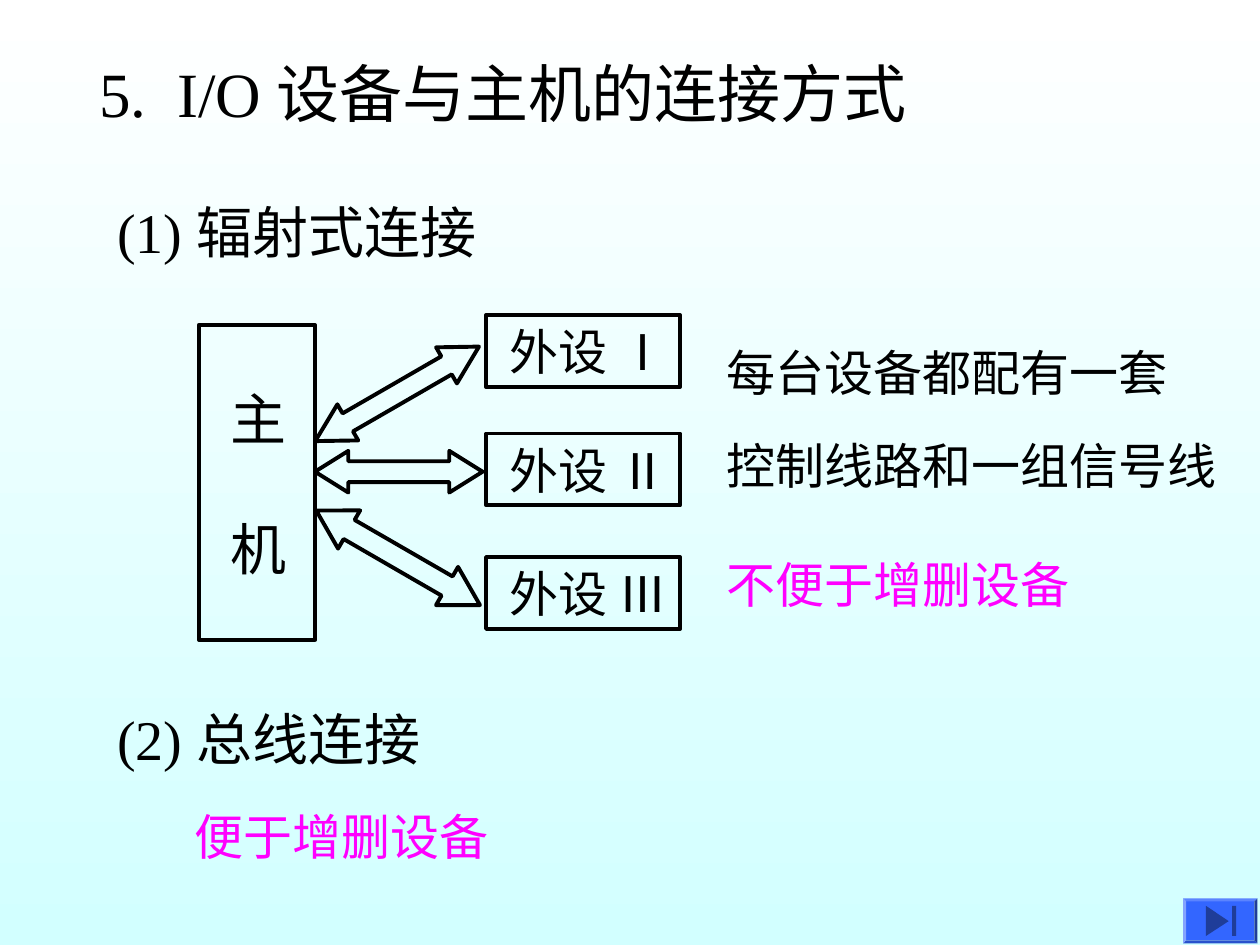
from pptx import Presentation
from pptx import util as u
from pptx.dml.color import RGBColor
from pptx.enum import shapes, text
from pptx.oxml import parse_xml
from pptx.oxml.ns import nsdecls

THEME = {
    "font": "Times New Roman",
    "ink": "000000",
    "accent": "FF00FF",
    "sky": ("FFFFFF", "D2FFFF"),
    "button": "3366FF",
    "icon": "1F3D99",
    "title": 36,
    "heading": 32,
    "label": 28,
    "line": 2.25,
}

TITLE = ("5.\tI/O 设备与主机的连接方式", (1.75, 0.97, 17.35, 1.78))
TITLE_TAB = 1.57
HEADINGS = [("(1) 辐射式连接", 3.86), ("(2) 总线连接", 14.07)]
HOST = (4.01, 6.55, 2.34, 6.35)
HOST_CHARACTERS = [("主", 7.62), ("机", 10.24)]
DEVICES = [("外设 Ⅰ", 6.35), ("外设 Ⅱ", 8.74), ("外设 Ⅲ", 11.23)]
LINKS = [
    ((6.1, 7.52, 3.81, 0.84), 150, 0.9),
    ((6.35, 9.09, 3.38, 0.84), 0, 0.8),
    ((6.12, 10.8, 3.81, 0.89), 30, 0.86),
]
REMARKS = [
    ("每台设备都配有一套", (14.4, 6.78, 10.36, 1.45), "ink"),
    ("控制线路和一组信号线", (14.4, 8.64, 10.36, 1.45), "ink"),
    ("不便于增删设备", (14.4, 11.05, 8.69, 1.45), "accent"),
    ("便于增删设备", (3.68, 16.13, 16.71, 1.45), "accent"),
]
BUTTON = (23.85, 18.11, 1.5, 0.91)
BUTTON_BAR = (24.84, 18.26, 0.08, 0.61)
BUTTON_TRIANGLE = [(24.31, 18.26), (24.77, 18.57), (24.31, 18.87)]


def cm(values):
    return [u.Cm(value) for value in values]


def colour(key):
    return RGBColor.from_string(THEME[key])


def write(holder, words, size="label", ink="ink", left=0.25, tab=None,
          align=text.PP_ALIGN.LEFT, anchor=text.MSO_ANCHOR.TOP):
    frame = holder.text_frame
    frame.auto_size = text.MSO_AUTO_SIZE.NONE
    frame.word_wrap = True
    frame.vertical_anchor = anchor
    frame.margin_left, frame.margin_right = u.Cm(left), 0
    frame.margin_top = frame.margin_bottom = u.Cm(0.13)
    frame.text = words
    paragraph = frame.paragraphs[0]
    paragraph.alignment = align
    if tab:
        paragraph._p.get_or_add_pPr().append(parse_xml(
            f'<a:tabLst {nsdecls("a")}><a:tab pos="{u.Cm(tab)}" algn="l"/></a:tabLst>'))
    for run in paragraph.runs:
        run.font.name = THEME["font"]
        run.font.size = u.Pt(THEME[size])
        run.font.color.rgb = colour(ink)


def label(slide, words, place, **style):
    write(slide.shapes.add_textbox(*cm(place)), words, **style)


def outlined(slide, kind, place):
    shape = slide.shapes.add_shape(kind, *cm(place))
    shape.shadow.inherit = False
    shape.fill.background()
    shape.line.color.rgb = colour("ink")
    shape.line.width = u.Pt(THEME["line"])
    return shape


def paint(shape, key):
    shape.shadow.inherit = False
    shape.fill.solid()
    shape.fill.fore_color.rgb = colour(key)
    shape.line.fill.background()


def draw_background(slide):
    fill = slide.background.fill
    fill.gradient()
    fill.gradient_angle = 270
    for stop, shade in zip(fill.gradient_stops, THEME["sky"]):
        stop.color.rgb = RGBColor.from_string(shade)


def draw_title(slide):
    words, place = TITLE
    title = slide.shapes.title
    title.left, title.top, title.width, title.height = cm(place)
    write(title, words, size="title", tab=TITLE_TAB)


def draw_diagram(slide):
    kinds = shapes.MSO_SHAPE
    for name, top in DEVICES:
        device = outlined(slide, kinds.RECTANGLE, (9.8, top, 3.91, 1.45))
        write(device, name, left=0.48, anchor=text.MSO_ANCHOR.MIDDLE)
    for place, angle, head in LINKS:
        link = outlined(slide, kinds.LEFT_RIGHT_ARROW, place)
        link.rotation = angle
        link.adjustments[1] = head
    outlined(slide, kinds.RECTANGLE, HOST)
    for character, top in HOST_CHARACTERS:
        label(slide, character, (4.39, top, 1.63, 1.63), size="heading")


def draw_button(slide):
    button = slide.shapes.add_shape(shapes.MSO_SHAPE.BEVEL, *cm(BUTTON))
    button.adjustments[0] = 0.07
    paint(button, "button")
    start, *corners = [cm(point) for point in BUTTON_TRIANGLE]
    builder = slide.shapes.build_freeform(*start)
    builder.add_line_segments(corners, close=True)
    paint(builder.convert_to_shape(), "icon")
    paint(slide.shapes.add_shape(shapes.MSO_SHAPE.RECTANGLE, *cm(BUTTON_BAR)), "icon")


def main():
    deck = Presentation()
    deck.slide_width, deck.slide_height = cm((25.4, 19.05))
    slide = deck.slides.add_slide(deck.slide_layouts[5])
    draw_background(slide)
    draw_title(slide)
    for words, top in HEADINGS:
        label(slide, words, (2.11, top, 10.8, 1.63), size="heading")
    draw_diagram(slide)
    for words, place, ink in REMARKS:
        label(slide, words, place, ink=ink)
    draw_button(slide)
    deck.save("out.pptx")


if __name__ == "__main__":
    main()
